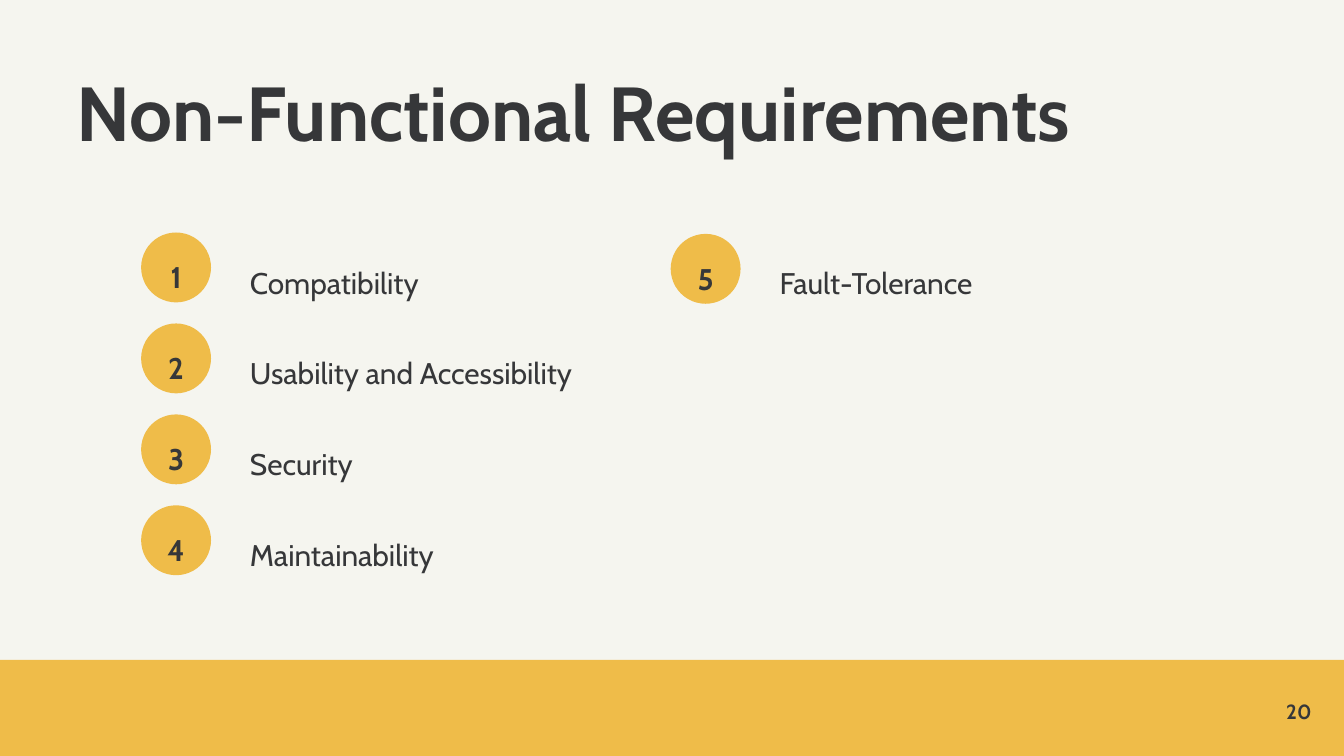
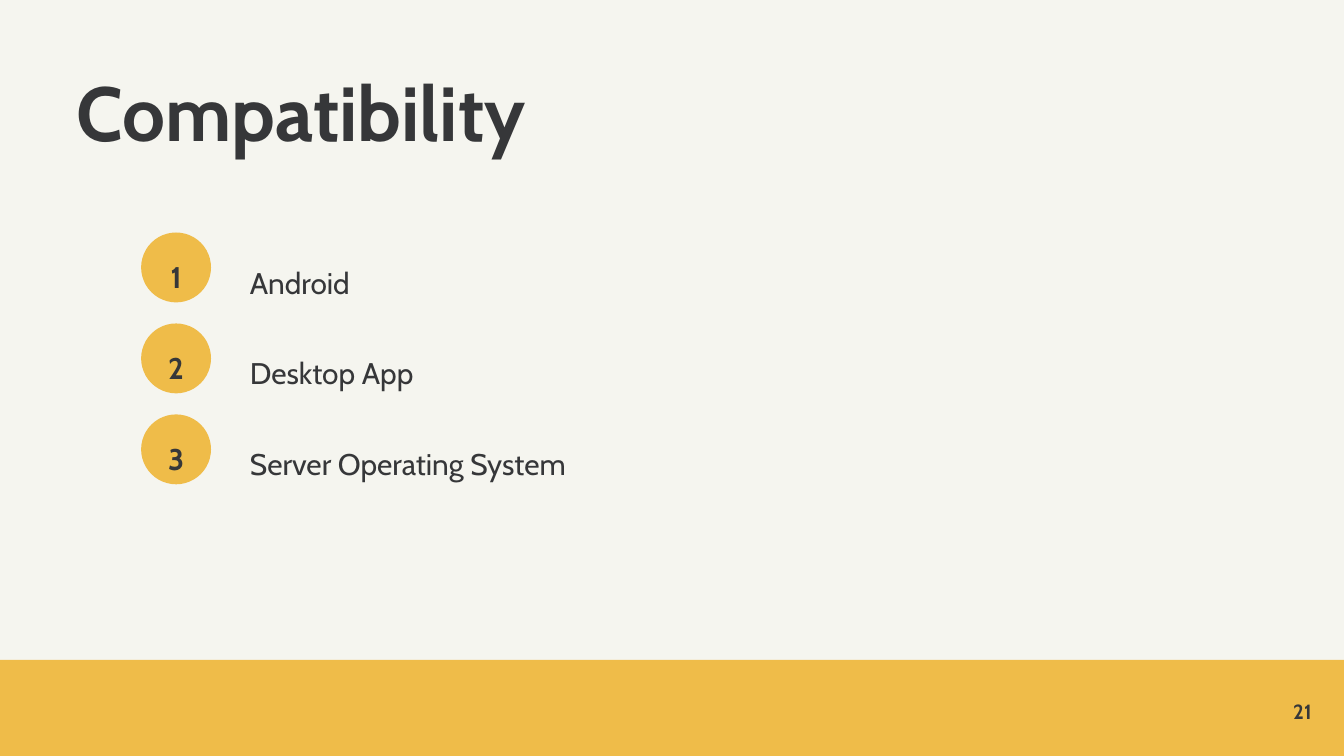
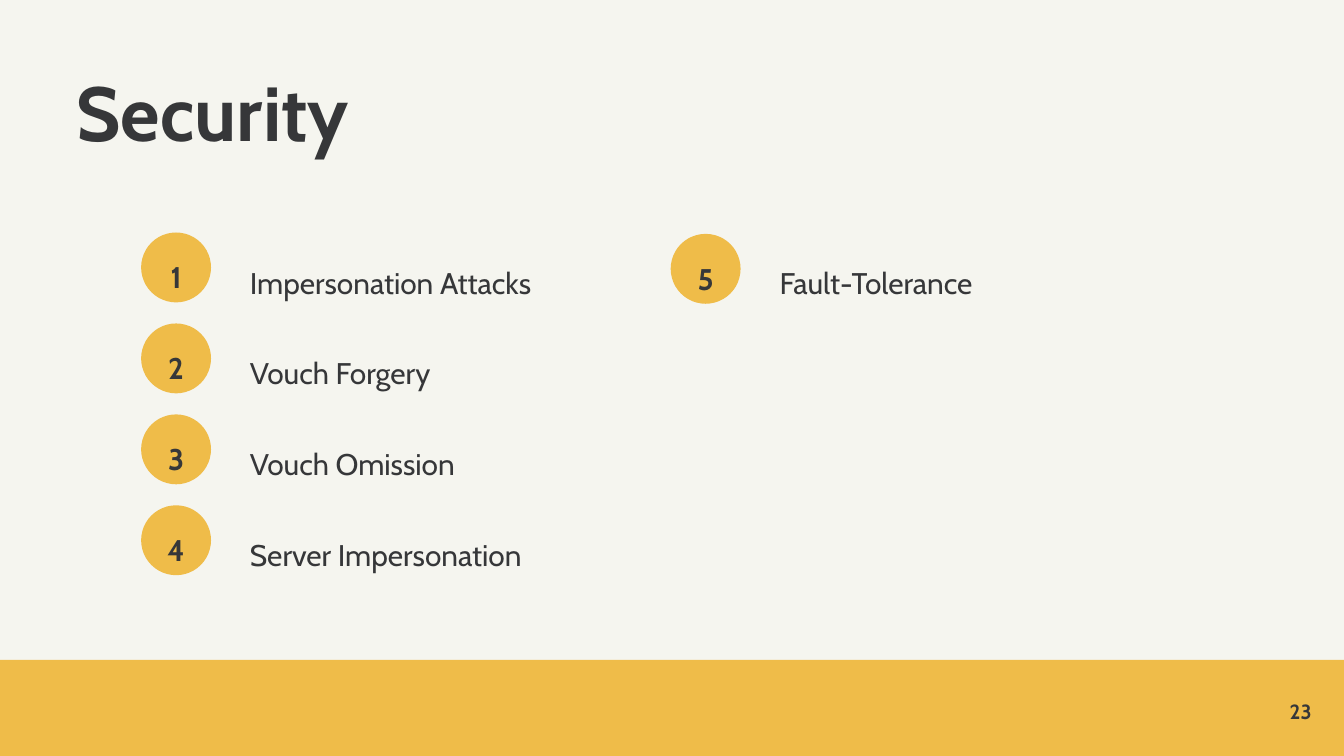
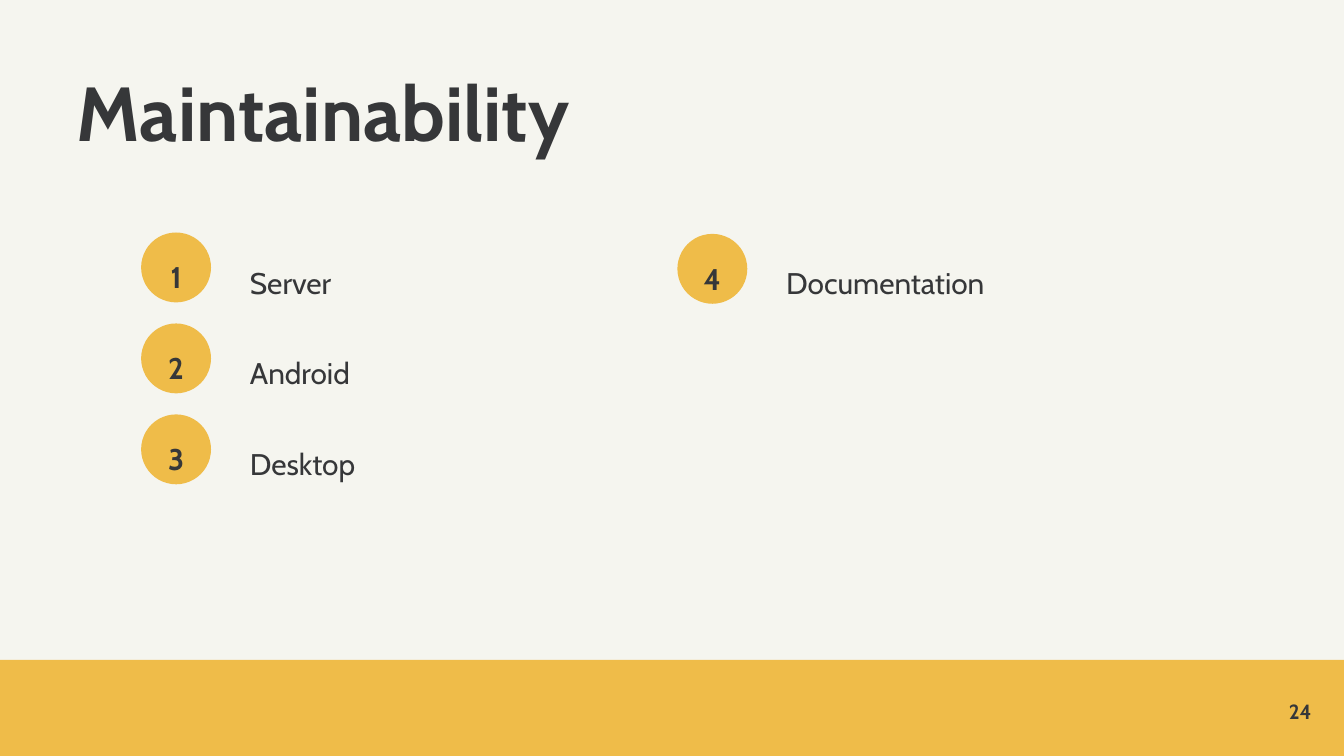
from dataclasses import dataclass

from pptx import Presentation
from pptx.dml.color import RGBColor
from pptx.enum.shapes import MSO_SHAPE
from pptx.enum.text import MSO_ANCHOR, MSO_AUTO_SIZE, PP_ALIGN
from pptx.shapes.autoshape import Shape
from pptx.slide import Slide
from pptx.util import Inches, Pt

# Shared colours, text styles and grid
PAPER = RGBColor(0xF5, 0xF5, 0xEF)
GOLD = RGBColor(0xEF, 0xBC, 0x49)
INK = RGBColor(0x36, 0x37, 0x39)
FONT = "Cabin"

SLIDE_WIDTH = Inches(10)
SLIDE_HEIGHT = SLIDE_WIDTH * 9 // 16
BAND_TOP = Inches(4.91)
BADGE_SIZE = Inches(0.52)
LINE_HEIGHT = Inches(0.27)
NUMBER_INSET = Inches(0.05)
NUMBER_DROP = Inches(0.13)
LABEL_OFFSET = Inches(0.81)
LABEL_TOP = Inches(1.86)
ROW_PITCH = Inches(2.03) // 3


@dataclass(frozen=True)
class TextStyle:
    size: float
    bold: bool
    align: PP_ALIGN
    spacing: float
    anchor: MSO_ANCHOR = MSO_ANCHOR.TOP
    fit: MSO_AUTO_SIZE = MSO_AUTO_SIZE.NONE


TITLE = TextStyle(41, True, PP_ALIGN.LEFT, 0.9)
NUMBER = TextStyle(16, True, PP_ALIGN.CENTER, 1.25, fit=MSO_AUTO_SIZE.SHAPE_TO_FIT_TEXT)
LABEL = TextStyle(16, False, PP_ALIGN.LEFT, 1.4)
PAGE = TextStyle(11, True, PP_ALIGN.RIGHT, 1.0, MSO_ANCHOR.MIDDLE)


@dataclass(frozen=True)
class Item:
    text: str
    width: float = 2.12


@dataclass(frozen=True)
class Column:
    items: list[Item]
    left: float = 1.05
    top: float = 1.73


@dataclass(frozen=True)
class Page:
    number: int
    title: str
    columns: list[Column]


FAULT_TOLERANCE = Column([Item("Fault-Tolerance")], 4.99, 1.74)

PAGES = [
    Page(20, "Non-Functional Requirements", [
        Column([Item("Compatibility", 1.78), Item("Usability and Accessibility", 2.65),
                Item("Security"), Item("Maintainability", 1.99)]),
        FAULT_TOLERANCE,
    ]),
    Page(21, "Compatibility", [
        Column([Item("Android", 2.83), Item("Desktop App", 2.65),
                Item("Server Operating System", 3.85)]),
    ]),
    Page(23, "Security", [
        Column([Item("Impersonation Attacks", 2.46), Item("Vouch Forgery", 2.65),
                Item("Vouch Omission"), Item("Server Impersonation", 2.7)]),
        FAULT_TOLERANCE,
    ]),
    Page(24, "Maintainability", [
        Column([Item("Server", 2.46), Item("Android", 2.65), Item("Desktop")]),
        Column([Item("Documentation")], 5.04, 1.74),
    ]),
]


def write(box: Shape, text: str, style: TextStyle) -> None:
    frame = box.text_frame
    frame.text = text
    paragraph = frame.paragraphs[0]
    formats = {
        frame: {"word_wrap": True, "auto_size": style.fit, "vertical_anchor": style.anchor,
                "margin_left": 0, "margin_top": 0, "margin_right": 0, "margin_bottom": 0},
        paragraph: {"alignment": style.align, "line_spacing": style.spacing},
    }
    for target, values in formats.items():
        for name, value in values.items():
            setattr(target, name, value)
    font = paragraph.runs[0].font
    for name, value in {"name": FONT, "size": Pt(style.size), "bold": style.bold}.items():
        setattr(font, name, value)
    font.color.rgb = INK


def add_text(slide: Slide, left: int, top: int, width: int, height: int,
             text: str, style: TextStyle) -> None:
    write(slide.shapes.add_textbox(left, top, width, height), text, style)


def add_gold_shape(slide: Slide, kind: MSO_SHAPE, left: int, top: int,
                   width: int, height: int) -> None:
    shape = slide.shapes.add_shape(kind, left, top, width, height)
    shape.shadow.inherit = False
    shape.fill.solid()
    shape.fill.fore_color.rgb = GOLD
    shape.line.fill.background()


def add_title(slide: Slide, text: str) -> None:
    title = slide.shapes.title
    place = {"left": Inches(0.57), "top": Inches(0.56),
             "width": Inches(8.24), "height": Inches(0.79)}
    for name, value in place.items():
        setattr(title, name, value)
    write(title, text, TITLE)


def add_footer(slide: Slide, number: int) -> None:
    add_gold_shape(slide, MSO_SHAPE.RECTANGLE, 0, BAND_TOP,
                   SLIDE_WIDTH, SLIDE_HEIGHT - BAND_TOP)
    add_text(slide, Inches(9.16), Inches(5.19), Inches(0.6), Inches(0.2), str(number), PAGE)


def add_column(slide: Slide, column: Column, first_number: int) -> None:
    left = Inches(column.left)
    for row, item in enumerate(column.items):
        drop = row * ROW_PITCH
        badge_top = Inches(column.top) + drop
        add_gold_shape(slide, MSO_SHAPE.OVAL, left, badge_top, BADGE_SIZE, BADGE_SIZE)
        add_text(slide, left + NUMBER_INSET, badge_top + NUMBER_DROP,
                 BADGE_SIZE - 2 * NUMBER_INSET, LINE_HEIGHT, str(first_number + row), NUMBER)
        add_text(slide, left + LABEL_OFFSET, LABEL_TOP + drop,
                 Inches(item.width), LINE_HEIGHT, item.text, LABEL)


def main() -> None:
    deck = Presentation()
    deck.slide_width, deck.slide_height = SLIDE_WIDTH, SLIDE_HEIGHT

    # Background shared through the master
    backdrop = deck.slide_master.background.fill
    backdrop.solid()
    backdrop.fore_color.rgb = PAPER

    title_only = deck.slide_layouts.get_by_name("Title Only")
    for page in PAGES:
        slide = deck.slides.add_slide(title_only)
        add_title(slide, page.title)
        add_footer(slide, page.number)
        # Numbering runs on from one column to the next
        next_number = 1
        for column in page.columns:
            add_column(slide, column, next_number)
            next_number += len(column.items)

    deck.save("out.pptx")


if __name__ == "__main__":
    main()
